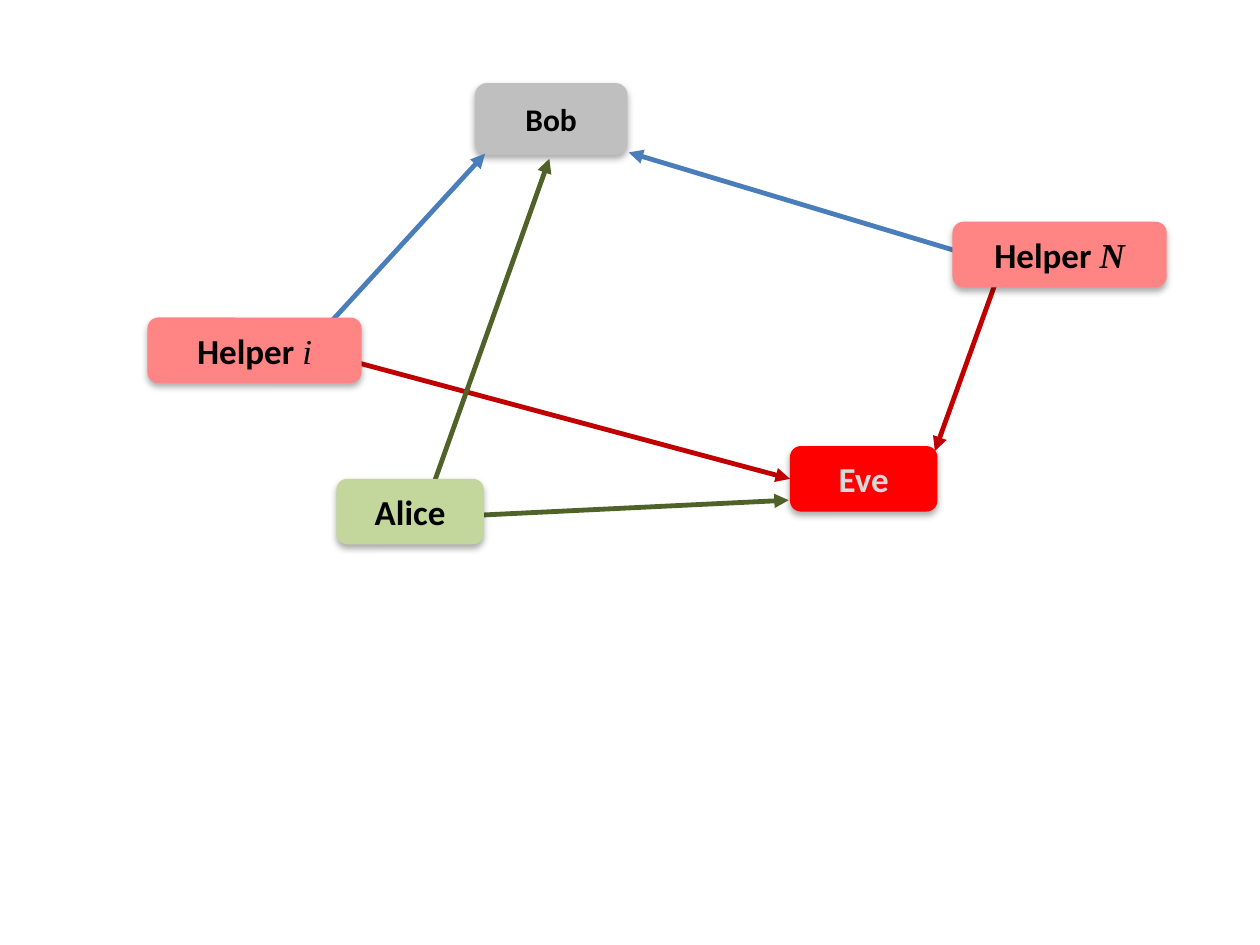
from lxml import etree
from pptx import Presentation
from pptx.dml.color import RGBColor
from pptx.enum.shapes import MSO_CONNECTOR, MSO_SHAPE
from pptx.enum.text import MSO_ANCHOR, PP_ALIGN
from pptx.oxml import parse_xml
from pptx.oxml.ns import nsdecls, qn
from pptx.util import Inches, Pt

ROUNDED = MSO_SHAPE.ROUNDED_RECTANGLE
STRAIGHT = MSO_CONNECTOR.STRAIGHT
MIDDLE = MSO_ANCHOR.MIDDLE
CENTER = PP_ALIGN.CENTER

UNIT = Inches(0.1)
BLACK, GREY, LIGHT_GREY = "000000", "BFBFBF", "D9D9D9"
RED, PINK, GREEN = "FF0000", "FF8585", "C3D69B"
BLUE_LINE, RED_LINE, GREEN_LINE = "4A7EBB", "C00000", "4F6228"
NAME_W, HELPER_W, NODE_H = 11.7, 17, 5.2

RECEIVERS = [
    ((37.7, 6.6, 12.1, 5.7), GREY, "Bob", "", False, BLACK, 18),
    ((62.7, 35.4, NAME_W, NODE_H), RED, "Eve", "", False, LIGHT_GREY, 20),
]
SENDERS = [
    ((75.6, 17.6, HELPER_W, NODE_H), PINK, "Helper ", "N", True, BLACK, 20),
    ((26.7, 38, NAME_W, NODE_H), GREEN, "Alice", "", False, BLACK, 20),
    ((11.7, 25.2, HELPER_W, NODE_H), PINK, "Helper ", "i", False, BLACK, 20),
]
ARROWS = [
    ((25.3, 26.6), (38.5, 12.2), BLUE_LINE),
    ((24.7, 27.8), (62.7, 38), RED_LINE),
    ((79.1, 22.2), (74.2, 35.8), RED_LINE),
    ((77.5, 20.4), (49.9, 12.1), BLUE_LINE),
    ((34.1, 39.3), (43.6, 12.6), GREEN_LINE),
    ((35.7, 41), (62.6, 39.7), GREEN_LINE),
]


def rgb(color):
    """Return the colour object of a hex string."""
    return RGBColor.from_string(color)


def grid(*cells):
    """Turn grid columns and rows into slide lengths."""
    return [round(c * UNIT) for c in cells]


def add_shadow(sp):
    """Give a shape a soft shadow straight below it."""
    sp._element.spPr.append(parse_xml(
        f'<a:effectLst {nsdecls("a")}>'
        f'<a:outerShdw blurRad="{Pt(4)}" dist="{Pt(2.2)}" dir="5400000" rotWithShape="0">'
        f'<a:srgbClr val="{BLACK}"><a:alpha val="32000"/></a:srgbClr>'
        '</a:outerShdw></a:effectLst>'))


def add_run(p, text, font, size, color, bold=True, italic=False):
    """Add one formatted run to a paragraph."""
    r = p.add_run()
    r.text = text
    r.font.name, r.font.size = font, Pt(size)
    r.font.bold, r.font.italic = bold, italic
    r.font.color.rgb = rgb(color)


def add_node(slide, box, fill, name, index, bold_index, color, size):
    """Draw a rounded node with its centred label inside the box."""
    x, y, w, h = box
    group = slide.shapes.add_group_shape()
    sp = group.shapes.add_shape(ROUNDED, *grid(*box))
    sp.adjustments[0] = 0.167
    sp.fill.solid()
    sp.fill.fore_color.rgb = rgb(fill)
    sp.line.fill.background()
    add_shadow(sp)

    label = group.shapes.add_textbox(
        *grid(x + 0.02 * w, y + 0.1 * h, 0.96 * w, 0.8 * h))
    tf = label.text_frame
    tf.word_wrap = True
    tf.vertical_anchor = MIDDLE
    tf.margin_left = tf.margin_right = tf.margin_top = tf.margin_bottom = 0
    p = tf.paragraphs[0]
    p.alignment = CENTER
    add_run(p, name, "Calibri", size, color)
    if index:
        add_run(p, index, "Times New Roman", size, color, bold_index, True)


def add_arrow(slide, start, end, color):
    """Draw an arrow between two grid points."""
    line = slide.shapes.add_connector(STRAIGHT, *grid(*start, *end))
    line.line.color.rgb = rgb(color)
    line.line.width = Pt(2.75)
    etree.SubElement(line.line._get_or_add_ln(), qn("a:tailEnd"), type="triangle")
    etree.SubElement(line._element.spPr, qn("a:effectLst"))


def main():
    """Build the slide and save it."""
    prs = Presentation()
    prs.slide_width, prs.slide_height = grid(100, 75)
    slide = prs.slides.add_slide(prs.slide_layouts[6])
    for node in RECEIVERS:
        add_node(slide, *node)
    for arrow in ARROWS:
        add_arrow(slide, *arrow)
    for node in SENDERS:
        add_node(slide, *node)
    prs.save("out.pptx")


if __name__ == "__main__":
    main()
